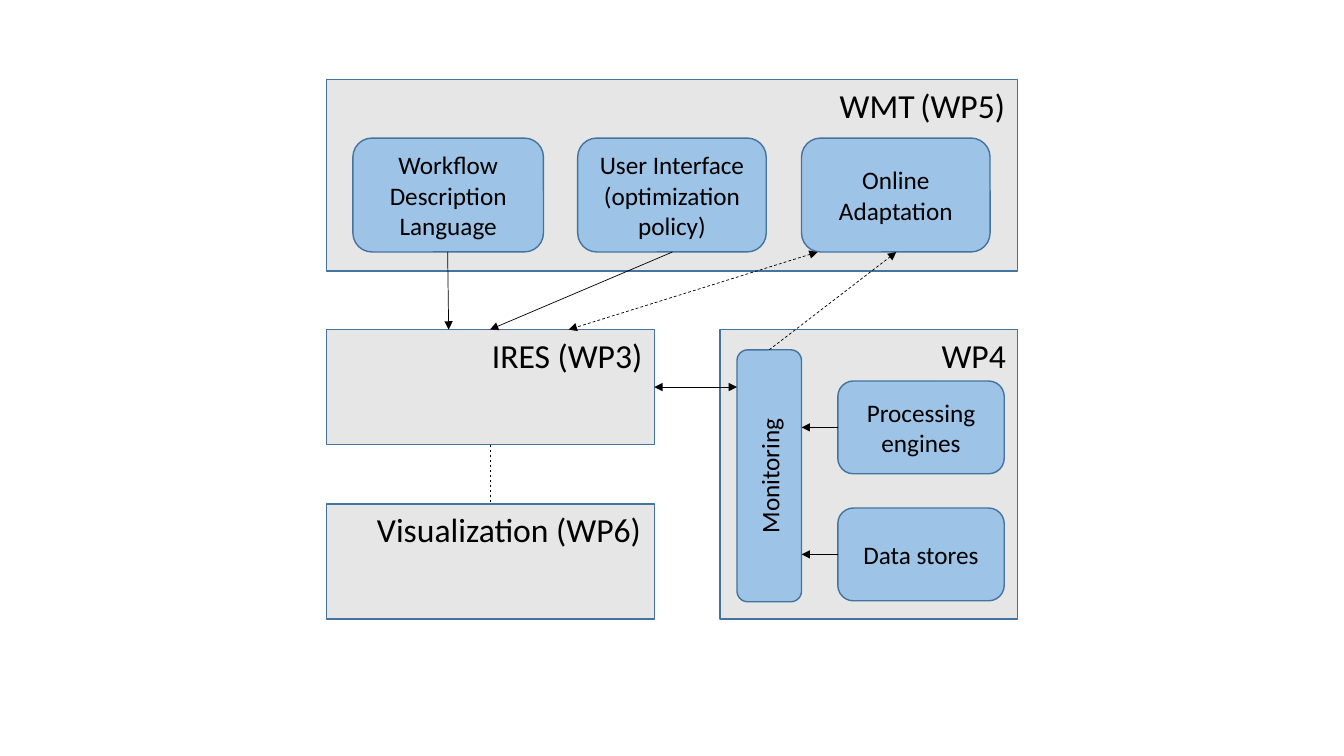
import pptx
import pptx.util
import pptx.dml.color
import pptx.enum.dml
import pptx.enum.shapes
import pptx.enum.text
import lxml.etree
from dataclasses import dataclass
from pptx.oxml.ns import qn


@dataclass(frozen=True)
class Theme:
    font: str = "Calibri"
    panel: str = "E7E6E6"
    module: str = "9DC3E6"
    outline: str = "43739E"
    ink: str = "000000"
    title_size: int = 24
    module_size: int = 18


theme = Theme()
Inches = pptx.util.Inches
Pt = pptx.util.Pt
Color = pptx.dml.color.RGBColor.from_string
Shape = pptx.enum.shapes.MSO_SHAPE

deck = pptx.Presentation()
deck.slide_width, deck.slide_height = Inches(13.33), Inches(7.5)
page = deck.slides.add_slide(deck.slide_layouts[6])


def add_box(kind, fill, left, top, width, height):
    box = page.shapes.add_shape(kind, Inches(left), Inches(top), Inches(width), Inches(height))
    box.shadow.inherit = False
    box.fill.solid()
    box.fill.fore_color.rgb = Color(fill)
    box.line.color.rgb = Color(theme.outline)
    box.line.width = Pt(1)
    return box


def add_span(para, text, size):
    span = para.add_run()
    span.text = text
    span.font.name = theme.font
    span.font.size = Pt(size)
    span.font.color.rgb = Color(theme.ink)


left_edge, right_edge = 3.24, 10.09
middle_row, bottom_row = 3.27, 5.0
left_width, panel_height = 3.25, 1.14
wp4_left = 7.14
wp4_height = bottom_row + panel_height - middle_row

panels = [
    (left_edge, 0.79, right_edge - left_edge, 1.9, 1.86, ["WMT", " ", "(WP5)"]),
    (left_edge, middle_row, left_width, panel_height, 1.71, ["IRES (WP3)"]),
    (left_edge, bottom_row, left_width, panel_height, 2.85, ["Visualization (WP6)"]),
    (wp4_left, middle_row, right_edge - wp4_left, wp4_height, 0.85, ["WP4"]),
]
for left, top, width, height, title_width, words in panels:
    add_box(Shape.RECTANGLE, theme.panel, left, top, width, height)
    title = page.shapes.add_textbox(
        Inches(left + width - title_width), Inches(top), Inches(title_width), Inches(0.5))
    title.text_frame.word_wrap = False
    for word in words:
        size = theme.title_size if word.strip() else theme.module_size
        add_span(title.text_frame.paragraphs[0], word, size)

tool_top, tool_height = 1.37, 1.13
tool_bottom = tool_top + tool_height
source_left, source_width, source_height = 8.31, 1.65, 0.92
source_tops = [3.78, 5.04]

modules = [
    ("Workflow Description Language", 3.5, tool_top, 1.89, tool_height, 0),
    ("User Interface (optimization policy)", 5.73, tool_top, 1.87, tool_height, 0),
    ("Online Adaptation", 7.95, tool_top, 1.87, tool_height, 0),
    ("Monitoring", 6.38, 4.4, 2.5, 0.64, 270),
    ("Processing engines", source_left, source_tops[0], source_width, source_height, 0),
    ("Data stores", source_left, source_tops[1], source_width, source_height, 0),
]
for text, left, top, width, height, rotation in modules:
    module = add_box(Shape.ROUNDED_RECTANGLE, theme.module, left, top, width, height)
    module.rotation = rotation
    frame = module.text_frame
    frame.word_wrap = True
    frame.vertical_anchor = pptx.enum.text.MSO_ANCHOR.MIDDLE
    para = frame.paragraphs[0]
    para.alignment = pptx.enum.text.PP_ALIGN.CENTER
    add_span(para, text, theme.module_size)

ires_center = 4.86
ires_right = left_edge + left_width
ires_bottom = middle_row + panel_height
monitoring_right = 7.95
links = [
    ((4.44, tool_bottom), (4.45, middle_row), False, ["tailEnd"]),
    ((8.11, tool_bottom), (5.64, middle_row), True, ["headEnd", "tailEnd"]),
    ((6.67, tool_bottom), (ires_center, middle_row), False, ["tailEnd"]),
    ((7.63, 3.47), (8.89, tool_bottom), True, ["tailEnd"]),
    ((ires_right, 3.84), (7.31, 3.84), False, ["headEnd", "tailEnd"]),
    ((ires_center, ires_bottom), (ires_center, bottom_row), True, []),
]
for top in source_tops:
    center = top + source_height / 2
    links.append(((source_left, center), (monitoring_right, center), False, ["tailEnd"]))

for start, end, dashed, arrowheads in links:
    link = page.shapes.add_connector(
        pptx.enum.shapes.MSO_CONNECTOR.STRAIGHT, *map(Inches, start + end))
    link.line.color.rgb = Color(theme.ink)
    link.line.width = Pt(0.5)
    if dashed:
        link.line.dash_style = pptx.enum.dml.MSO_LINE.DASH
    properties = link._element.spPr
    outline = properties.find(qn("a:ln"))
    for arrowhead in arrowheads:
        lxml.etree.SubElement(outline, qn("a:" + arrowhead), type="triangle")
    lxml.etree.SubElement(properties, qn("a:effectLst"))

deck.save("out.pptx")
